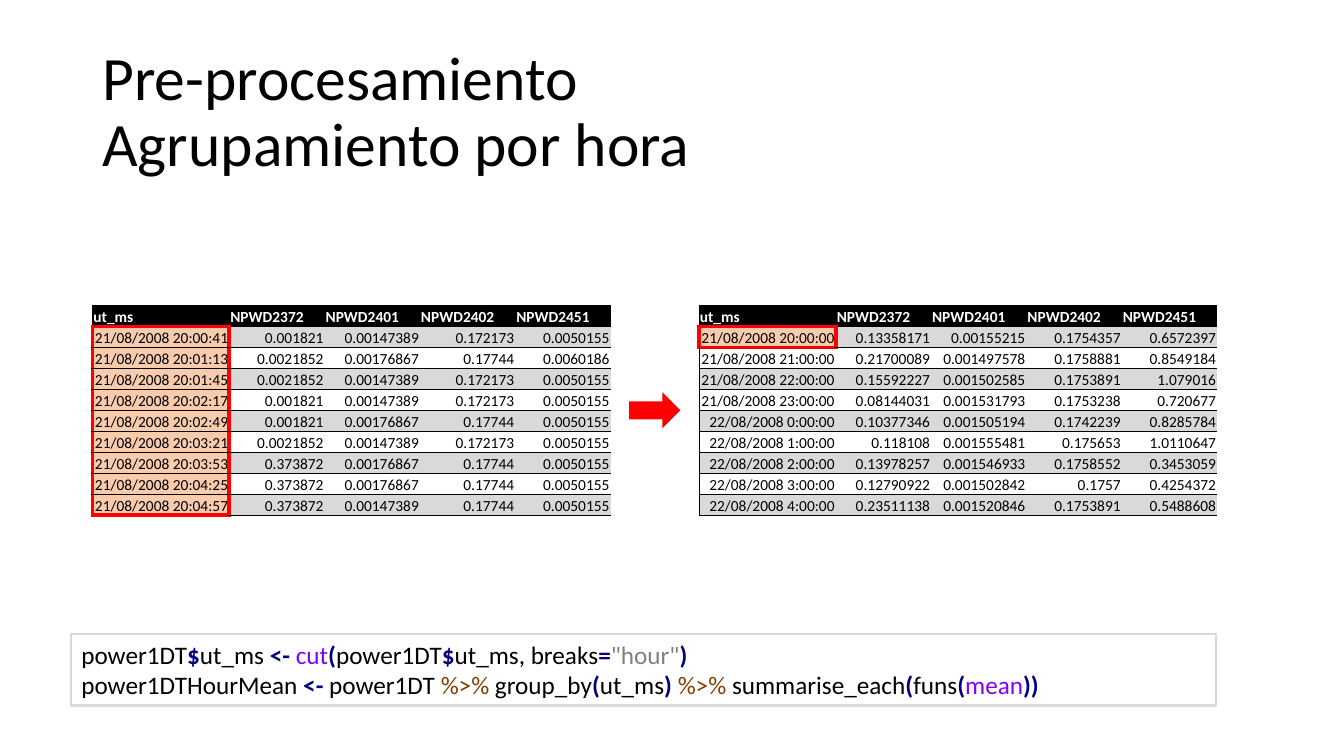
"""Builds the slide on grouping power readings by hour."""
from lxml import etree
from pptx import Presentation
from pptx.dml.color import RGBColor
from pptx.enum.shapes import MSO_SHAPE
from pptx.enum.text import MSO_ANCHOR, MSO_AUTO_SIZE, PP_ALIGN
from pptx.oxml.ns import qn
from pptx.util import Inches, Pt

RIGHT_ARROW = MSO_SHAPE.RIGHT_ARROW
MIDDLE, BOTTOM = MSO_ANCHOR.MIDDLE, MSO_ANCHOR.BOTTOM
GROW = MSO_AUTO_SIZE.SHAPE_TO_FIT_TEXT
LEFT, RIGHT = PP_ALIGN.LEFT, PP_ALIGN.RIGHT

FONT = "Calibri"
BLACK, WHITE, RED = "000000", "FFFFFF", "FF0000"
GREY, PEACH = "D9D9D9", "F8CBAD"
THIN, THICK = (BLACK, 0.5), (RED, 3)

deck = Presentation()
deck.slide_width, deck.slide_height = Inches(13.333), Inches(7.5)
page = deck.slides.add_slide(deck.slide_layouts[6])
UNIT = deck.slide_width / 160


def grid(*steps):
    """Turns grid steps, 160 across and 90 down the slide, into lengths."""
    return [round(step * UNIT) for step in steps]


def add_span(para, text, size, color=BLACK, bold=False):
    """Adds one styled run to a paragraph."""
    span = para.add_run()
    span.text = text
    span.font.name, span.font.size, span.font.bold = FONT, Pt(size), bold
    span.font.color.rgb = RGBColor.from_string(color)


title = page.shapes.add_textbox(*grid(11, 4.8, 138, 17.4)).text_frame
title.word_wrap = True
title.vertical_anchor = MIDDLE
heading = title.paragraphs[0]
heading.line_spacing = 0.9
add_span(heading, "Pre-procesamiento", 44)
heading.add_line_break()
add_span(heading, "Agrupamiento por hora", 44)

CODE_STYLES = {
    "plain": (BLACK, False),
    "operator": ("000080", True),
    "function": ("8000FF", False),
    "string": ("808080", False),
    "pipe": ("804000", False),
}
CODE = [
    [("power1DT", "plain"), ("$", "operator"), ("ut_ms ", "plain"), ("<-", "operator"),
     (" ", "plain"), ("cut", "function"), ("(", "operator"), ("power1DT", "plain"),
     ("$", "operator"), ("ut_ms, breaks", "plain"), ("=", "operator"),
     ('"hour"', "string"), (")", "operator")],
    [("power1DTHourMean ", "plain"), ("<-", "operator"), (" power1DT ", "plain"),
     ("%>%", "pipe"), (" group_by", "plain"), ("(", "operator"), ("ut_ms", "plain"),
     (")", "operator"), (" ", "plain"), ("%>%", "pipe"), (" summarise_each", "plain"),
     ("(", "operator"), ("funs", "plain"), ("(", "operator"), ("mean", "function"),
     ("))", "operator")],
]
code_box = page.shapes.add_textbox(*grid(8.5, 75.5, 136.3, 8.5))
code_box.line.color.rgb = RGBColor.from_string(GREY)
code_box.line.width = Pt(1.5)
code_frame = code_box.text_frame
code_frame.word_wrap = True
code_frame.auto_size = GROW
for number, tokens in enumerate(CODE):
    para = code_frame.add_paragraph() if number else code_frame.paragraphs[0]
    for text, kind in tokens:
        add_span(para, text, 18, *CODE_STYLES[kind])

HEADER = ["ut_ms", "NPWD2372", "NPWD2401", "NPWD2402", "NPWD2451"]
HOURLY = [
    ["21/08/2008 20:00:00", "0.13358171", "0.00155215", "0.1754357", "0.6572397"],
    ["21/08/2008 21:00:00", "0.21700089", "0.001497578", "0.1758881", "0.8549184"],
    ["21/08/2008 22:00:00", "0.15592227", "0.001502585", "0.1753891", "1.079016"],
    ["21/08/2008 23:00:00", "0.08144031", "0.001531793", "0.1753238", "0.720677"],
    ["22/08/2008 0:00:00", "0.10377346", "0.001505194", "0.1742239", "0.8285784"],
    ["22/08/2008 1:00:00", "0.118108", "0.001555481", "0.175653", "1.0110647"],
    ["22/08/2008 2:00:00", "0.13978257", "0.001546933", "0.1758552", "0.3453059"],
    ["22/08/2008 3:00:00", "0.12790922", "0.001502842", "0.1757", "0.4254372"],
    ["22/08/2008 4:00:00", "0.23511138", "0.001520846", "0.1753891", "0.5488608"],
]
READINGS = [
    ["21/08/2008 20:00:41", "0.001821", "0.00147389", "0.172173", "0.0050155"],
    ["21/08/2008 20:01:13", "0.0021852", "0.00176867", "0.17744", "0.0060186"],
    ["21/08/2008 20:01:45", "0.0021852", "0.00147389", "0.172173", "0.0050155"],
    ["21/08/2008 20:02:17", "0.001821", "0.00147389", "0.172173", "0.0050155"],
    ["21/08/2008 20:02:49", "0.001821", "0.00176867", "0.17744", "0.0050155"],
    ["21/08/2008 20:03:21", "0.0021852", "0.00147389", "0.172173", "0.0050155"],
    ["21/08/2008 20:03:53", "0.373872", "0.00176867", "0.17744", "0.0050155"],
    ["21/08/2008 20:04:25", "0.373872", "0.00176867", "0.17744", "0.0050155"],
    ["21/08/2008 20:04:57", "0.373872", "0.00147389", "0.17744", "0.0050155"],
]
COLUMN_STEPS = [16.3] + [11.35] * 4
ROW_STEP = 2.5

for left, records, marked in [(83.2, HOURLY, 1), (11, READINGS, 9)]:
    rows = [HEADER] + records
    place = grid(left, 36.36, sum(COLUMN_STEPS), ROW_STEP * len(rows))
    table = page.shapes.add_table(len(rows), len(HEADER), *place).table
    table.first_row = table.horz_banding = False
    for column, width in zip(table.columns, grid(*COLUMN_STEPS)):
        column.width = width
    for row_index, values in enumerate(rows):
        table.rows[row_index].height = grid(ROW_STEP)[0]
        in_mark = 1 <= row_index <= marked
        is_header = row_index == 0
        for column_index, value in enumerate(values):
            cell = table.cell(row_index, column_index)
            cell.margin_left = cell.margin_right = cell.margin_top = Inches(0.01)
            cell.margin_bottom = 0
            cell.vertical_anchor = BOTTOM
            is_time = column_index == 0
            borders = {
                "a:lnL": THICK if in_mark and column_index < 2 else THIN if is_time else None,
                "a:lnR": THICK if in_mark and is_time else None,
                "a:lnT": THICK if is_time and row_index in (1, marked + 1) else THIN,
                "a:lnB": THICK if is_time and row_index in (0, marked) else THIN,
            }
            properties = cell._tc.get_or_add_tcPr()
            for tag, border in borders.items():
                edge = etree.SubElement(properties, qn(tag))
                if border:
                    color, points = border
                    edge.set("w", str(Pt(points)))
                    paint = etree.SubElement(edge, qn("a:solidFill"))
                    etree.SubElement(paint, qn("a:srgbClr")).set("val", color)
                else:
                    etree.SubElement(edge, qn("a:noFill"))
            if is_header:
                fill = BLACK
            elif in_mark and is_time:
                fill = PEACH
            else:
                fill = GREY if row_index % 2 else None
            if fill:
                cell.fill.solid()
                cell.fill.fore_color.rgb = RGBColor.from_string(fill)
            else:
                cell.fill.background()
            para = cell.text_frame.paragraphs[0]
            para.alignment = LEFT if is_header else RIGHT
            add_span(para, value, 11, WHITE if is_header else BLACK, is_header)

arrow = page.shapes.add_shape(RIGHT_ARROW, *grid(74.9, 46.7, 6.1, 4.3))
arrow.shadow.inherit = False
arrow.fill.solid()
arrow.fill.fore_color.rgb = RGBColor.from_string(RED)
arrow.line.fill.background()

deck.save("out.pptx")
